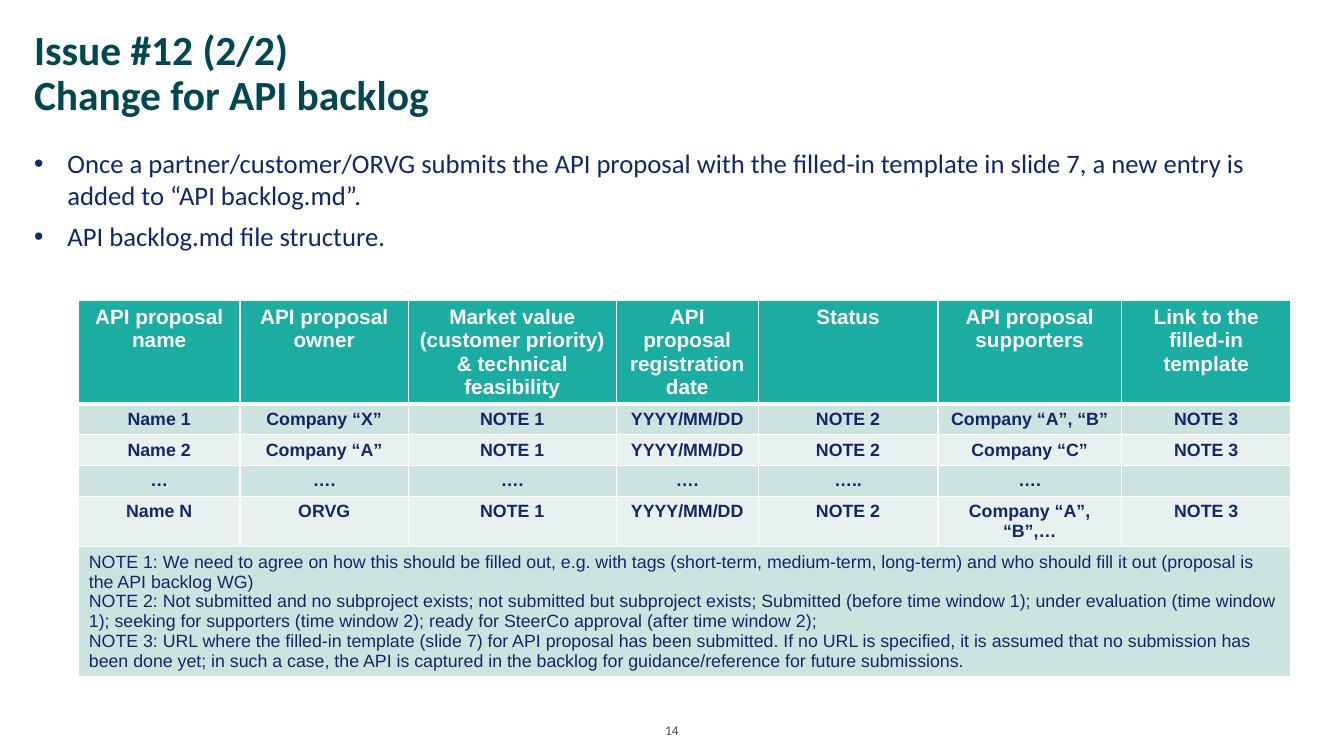
from dataclasses import dataclass

from lxml import etree
from pptx import Presentation
from pptx.dml.color import RGBColor
from pptx.enum.text import MSO_ANCHOR, MSO_AUTO_SIZE, PP_ALIGN
from pptx.oxml.ns import qn
from pptx.slide import Slide
from pptx.table import _Cell
from pptx.text.text import TextFrame, _Paragraph
from pptx.util import Pt

LEFT, CENTER = PP_ALIGN.LEFT, PP_ALIGN.CENTER
TOP, BOTTOM = MSO_ANCHOR.TOP, MSO_ANCHOR.BOTTOM
NO_AUTO_SIZE = MSO_AUTO_SIZE.NONE
TITLE_ONLY_LAYOUT = 5


@dataclass(frozen=True)
class TextStyle:
    font: str
    size: float
    color: str
    bold: bool = False
    align: PP_ALIGN = LEFT


@dataclass(frozen=True)
class Theme:
    title: TextStyle = TextStyle("Calibri", 28, "004750", bold=True)
    bullet: TextStyle = TextStyle("Calibri", 18, "122769")
    page_number: TextStyle = TextStyle("Calibri", 9, "4B4B4B", align=CENTER)
    header: TextStyle = TextStyle("Arial", 14, "FFFFFF", True, CENTER)
    entry: TextStyle = TextStyle("Arial", 12, "122769", True, CENTER)
    note: TextStyle = TextStyle("Arial", 12, "122769")
    header_fill: str = "1BADA2"
    band_fills: tuple[str, str] = ("CDE3E0", "E8F1F0")
    border: str = "FFFFFF"
    thin_border: float = 1
    thick_border: float = 3


@dataclass(frozen=True)
class Box:
    left: float
    top: float
    width: float
    height: float

    def lengths(self) -> tuple[Pt, Pt, Pt, Pt]:
        return Pt(self.left), Pt(self.top), Pt(self.width), Pt(self.height)


@dataclass(frozen=True)
class Column:
    heading: str
    width: float
    entries: tuple[str, str, str, str]


THEME = Theme()
TITLE_BOX = Box(23, 20.2, 861.8, 61.9)
BULLET_BOX = Box(23, 99.4, 843.8, 72)
PAGE_NUMBER_BOX = Box(421.2, 484.6, 64.8, 13.7)
TABLE_LEFT, TABLE_TOP = 52.8, 202.8
ROW_HEIGHTS = (69.5, 20.7, 20.7, 20.7, 33.8, 87.5)
BULLET_INDENT = 22.5

TITLE = "Issue #12 (2/2)\vChange for API backlog"
BULLETS = (
    "Once a partner/customer/ORVG submits the API proposal with the filled-in "
    "template in slide 7, a new entry is added to “API backlog.md”.",
    "API backlog.md file structure.",
)
DATE = "YYYY/MM/DD"
COLUMNS = (
    Column("API proposal name", 109.3, ("Name 1", "Name 2", "…", "Name N")),
    Column("API proposal owner", 113.5,
           ("Company “X”", "Company “A”", "….", "ORVG")),
    Column("Market value (customer priority) & technical feasibility", 140.4,
           ("NOTE 1", "NOTE 1", "….", "NOTE 1")),
    Column("API proposal registration date", 95.8, (DATE, DATE, "….", DATE)),
    Column("Status", 121.4, ("NOTE 2", "NOTE 2", "…..", "NOTE 2")),
    Column("API proposal supporters", 123.8,
           ("Company “A”, “B”", "Company “C”", "….", "Company “A”, “B”,…")),
    Column("Link to the filled-in template", 114.6,
           ("NOTE 3", "NOTE 3", "", "NOTE 3")),
)
NOTES = (
    "NOTE 1: We need to agree on how this should be filled out, e.g. with tags "
    "(short-term, medium-term, long-term) and who should fill it out (proposal "
    "is the API backlog WG)",
    "NOTE 2: Not submitted and no subproject exists; not submitted but "
    "subproject exists; Submitted (before time window 1); under evaluation "
    "(time window 1); seeking for supporters (time window 2); ready for SteerCo "
    "approval (after time window 2);",
    "NOTE 3: URL where the filled-in template (slide 7) for API proposal has "
    "been submitted. If no URL is specified, it is assumed that no submission "
    "has been done yet; in such a case, the API is captured in the backlog for "
    "guidance/reference for future submissions.",
)


def format_paragraph(paragraph: _Paragraph, style: TextStyle) -> None:
    paragraph.alignment = style.align
    font = paragraph.font
    font.name = style.font
    font.size = Pt(style.size)
    font.bold = style.bold
    font.color.rgb = RGBColor.from_string(style.color)


def write_text(frame: TextFrame, text: str, style: TextStyle) -> None:
    frame.text = text
    for paragraph in frame.paragraphs:
        format_paragraph(paragraph, style)


def prepare_frame(frame: TextFrame, anchor: MSO_ANCHOR) -> None:
    """Wrap the text in a fixed frame without margins."""
    frame.word_wrap = True
    frame.auto_size = NO_AUTO_SIZE
    frame.vertical_anchor = anchor
    frame.margin_left = frame.margin_top = 0
    frame.margin_right = frame.margin_bottom = 0


def add_text_box(slide: Slide, box: Box, text: str, style: TextStyle,
                 anchor: MSO_ANCHOR = TOP) -> TextFrame:
    frame = slide.shapes.add_textbox(*box.lengths()).text_frame
    prepare_frame(frame, anchor)
    write_text(frame, text, style)
    return frame


def set_title(slide: Slide) -> None:
    title = slide.shapes.title
    title.left, title.top, title.width, title.height = TITLE_BOX.lengths()
    prepare_frame(title.text_frame, TOP)
    write_text(title.text_frame, TITLE, THEME.title)
    title.text_frame.paragraphs[0].line_spacing = 0.9


def add_bullets(slide: Slide) -> None:
    frame = add_text_box(slide, BULLET_BOX, "\n".join(BULLETS), THEME.bullet)
    for paragraph in frame.paragraphs:
        paragraph.space_before = Pt(6)
        properties = paragraph._p.get_or_add_pPr()
        properties.set("marL", str(Pt(BULLET_INDENT)))
        properties.set("indent", str(-Pt(BULLET_INDENT)))
        bullet_font = etree.Element(qn("a:buFont"), typeface="Arial")
        bullet = etree.Element(qn("a:buChar"), char="•")
        properties.find(qn("a:defRPr")).addprevious(bullet_font)
        bullet_font.addnext(bullet)


def set_borders(cell: _Cell, top: float, bottom: float) -> None:
    properties = cell._tc.get_or_add_tcPr()
    widths = {"L": THEME.thin_border, "R": THEME.thin_border, "T": top, "B": bottom}
    for side, width in widths.items():
        line = etree.SubElement(properties, qn(f"a:ln{side}"), w=str(Pt(width)))
        fill = etree.SubElement(line, qn("a:solidFill"))
        etree.SubElement(fill, qn("a:srgbClr"), val=THEME.border)


def fill_cell(cell: _Cell, text: str, style: TextStyle, row: int) -> None:
    """Write and colour a cell; a thick line divides rows 0 and 1."""
    thin, thick = THEME.thin_border, THEME.thick_border
    set_borders(cell, thick if row == 1 else thin, thick if row == 0 else thin)
    cell.fill.solid()
    color = THEME.band_fills[(row - 1) % 2] if row else THEME.header_fill
    cell.fill.fore_color.rgb = RGBColor.from_string(color)
    write_text(cell.text_frame, text, style)
    if not text:
        etree.SubElement(cell.text_frame.paragraphs[0]._p, qn("a:endParaRPr"),
                         sz=str(style.size * 100))


def add_backlog_table(slide: Slide) -> None:
    box = Box(TABLE_LEFT, TABLE_TOP, sum(column.width for column in COLUMNS),
              sum(ROW_HEIGHTS))
    table = slide.shapes.add_table(
        len(ROW_HEIGHTS), len(COLUMNS), *box.lengths()).table
    for table_row, height in zip(table.rows, ROW_HEIGHTS):
        table_row.height = Pt(height)
    for index, column in enumerate(COLUMNS):
        table.columns[index].width = Pt(column.width)
        fill_cell(table.cell(0, index), column.heading, THEME.header, 0)
        for row, entry in enumerate(column.entries, start=1):
            fill_cell(table.cell(row, index), entry, THEME.entry, row)
    note_row = len(ROW_HEIGHTS) - 1
    note_cell = table.cell(note_row, 0)
    note_cell.merge(table.cell(note_row, len(COLUMNS) - 1))
    fill_cell(note_cell, "\n".join(NOTES), THEME.note, note_row)


def main() -> None:
    presentation = Presentation()
    presentation.slide_width = Pt(907.2)
    presentation.slide_height = Pt(510.48)
    slide = presentation.slides.add_slide(
        presentation.slide_layouts[TITLE_ONLY_LAYOUT])
    set_title(slide)
    add_bullets(slide)
    add_backlog_table(slide)
    add_text_box(slide, PAGE_NUMBER_BOX, "14", THEME.page_number, BOTTOM)
    presentation.save("out.pptx")


if __name__ == "__main__":
    main()
